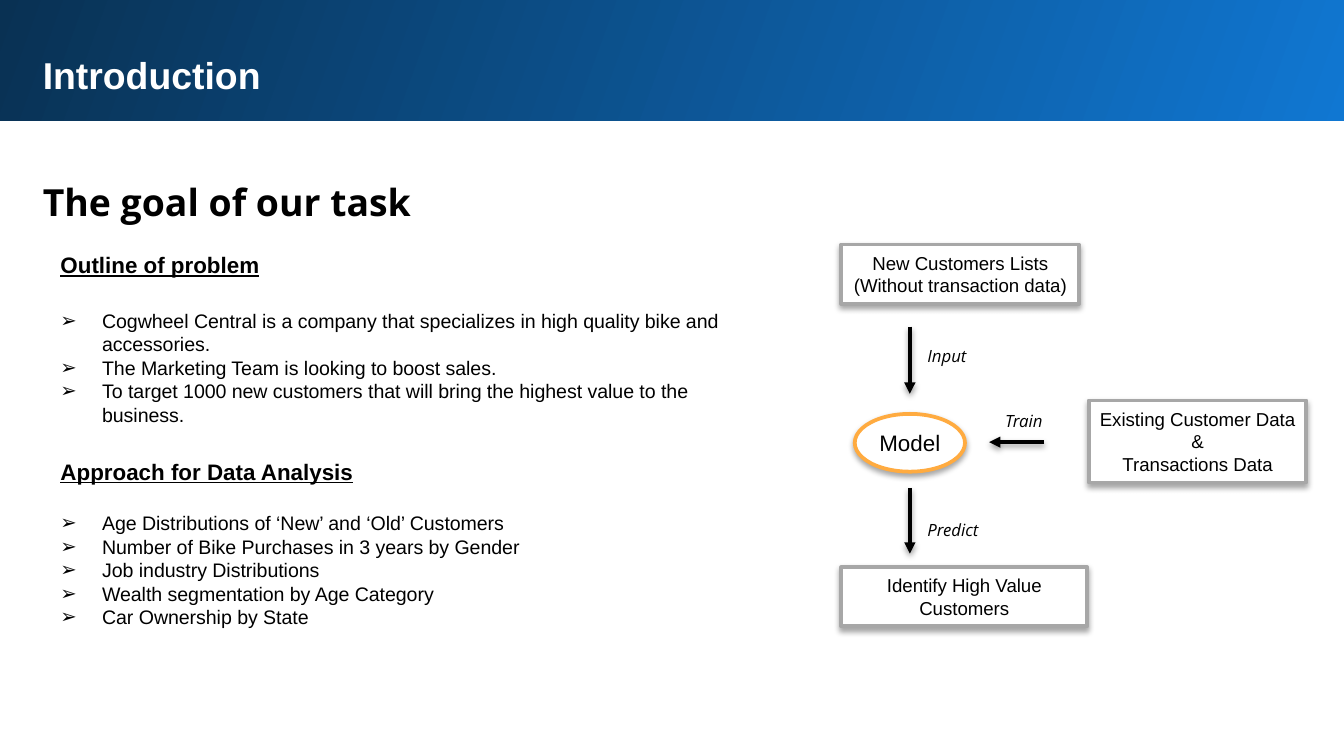
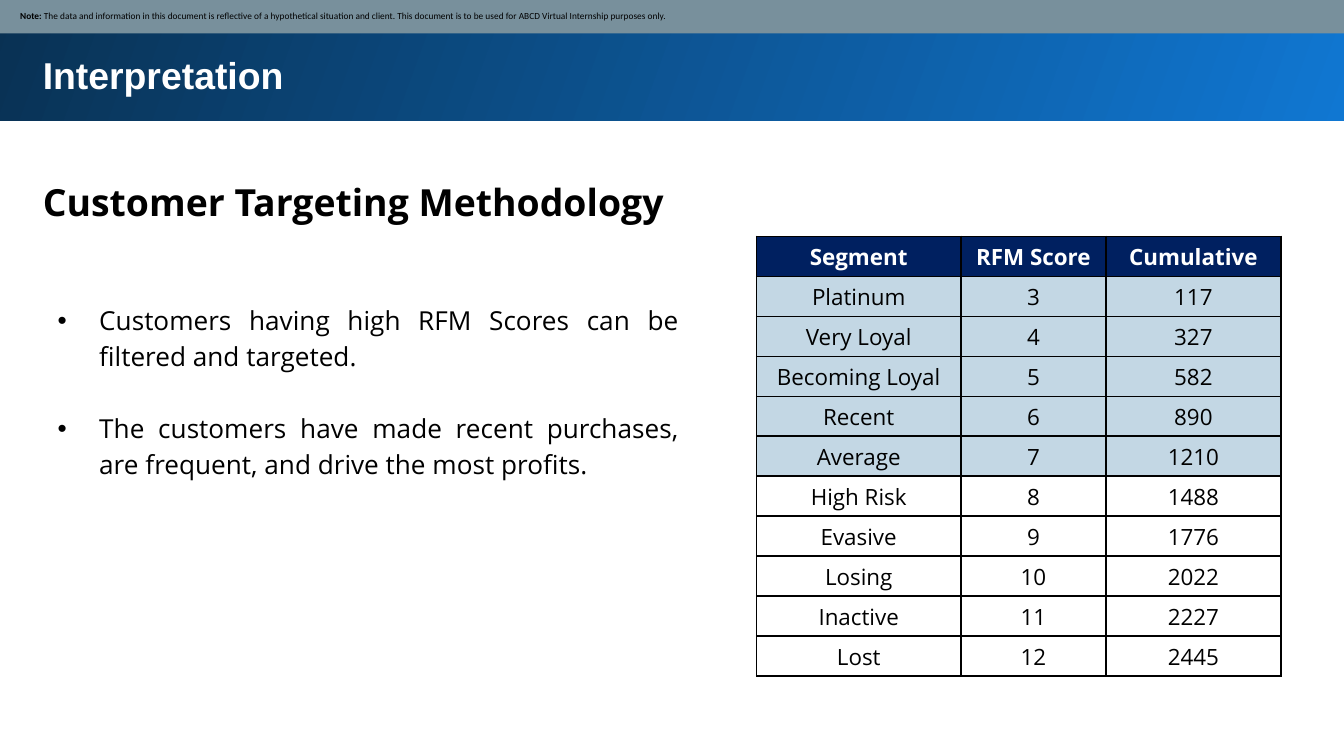
from lxml import etree
from pptx import Presentation
from pptx.dml.color import RGBColor
from pptx.enum.shapes import MSO_CONNECTOR, MSO_SHAPE
from pptx.enum.text import MSO_ANCHOR, MSO_AUTO_SIZE, PP_ALIGN
from pptx.oxml.ns import qn
from pptx.util import Pt

PX = 9144
WIDE = 1000
RECT = MSO_SHAPE.RECTANGLE
OVAL = MSO_SHAPE.OVAL
LINE = MSO_CONNECTOR.STRAIGHT
MID = MSO_ANCHOR.MIDDLE
TOP = MSO_ANCHOR.TOP
GROW = MSO_AUTO_SIZE.SHAPE_TO_FIT_TEXT
FIXED = MSO_AUTO_SIZE.NONE
LEFT = PP_ALIGN.LEFT
CENTER = PP_ALIGN.CENTER
FULL = PP_ALIGN.JUSTIFY

BLACK = RGBColor(0x00, 0x00, 0x00)
WHITE = RGBColor(0xFF, 0xFF, 0xFF)
BLUE = RGBColor(0x10, 0x77, 0xD2)
DEEP = RGBColor(0x09, 0x31, 0x53)
GRAY = RGBColor(0xA7, 0xA7, 0xA7)
AMBER = RGBColor(0xFF, 0xAB, 0x40)
SLATE = RGBColor(0x78, 0x90, 0x9C)
NAVY = RGBColor(0x00, 0x20, 0x60)
PALE = RGBColor(0xC3, 0xD7, 0xE4)

ARIAL = "Arial"
OPEN = "Open Sans"
SMALL = "Calibri"

PROBLEM = [
    "Cogwheel Central is a company that specializes in high quality bike and accessories.",
    "The Marketing Team is looking to boost sales.",
    "To target 1000 new customers that will bring the highest value to the business.",
]
STUDY = [
    "Age Distributions of ‘New’ and ‘Old’ Customers",
    "Number of Bike Purchases in 3 years by Gender",
    "Job industry Distributions",
    "Wealth segmentation by Age Category",
    "Car Ownership by State",
]
ADVICE = [
    "Customers having high RFM Scores can be filtered and targeted.",
    "The customers have made recent purchases, are frequent, and drive the most profits.",
]
SCORES = [
    ("Segment", "RFM Score", "Cumulative"),
    ("Platinum", 3, 117),
    ("Very Loyal", 4, 327),
    ("Becoming Loyal", 5, 582),
    ("Recent", 6, 890),
    ("Average", 7, 1210),
    ("High Risk", 8, 1488),
    ("Evasive", 9, 1776),
    ("Losing", 10, 2022),
    ("Inactive", 11, 2227),
    ("Lost", 12, 2445),
]
TARGET = 5


def px(*sizes):
    return [size * PX for size in sizes]


def node(home, tag, **attrs):
    return etree.SubElement(home, qn(tag), attrs)


class Deck:
    def __init__(self):
        self.file = Presentation()
        self.file.slide_width = WIDE * PX
        self.file.slide_height = WIDE * PX * 9 // 16
        self.slide = None

    def page(self, title, head):
        self.slide = self.file.slides.add_slide(self.file.slide_layouts[6])
        band = self.band(-2, -2, 1005, 92)
        band.fill.gradient()
        band.fill.gradient_angle = 160
        for stop, color in zip(band.fill.gradient_stops, (BLUE, DEEP)):
            stop.color.rgb = color
        self.text(22, 29, 937, 51, title, 20, ink=WHITE, bold=True, pad=10)
        frame = self.text(22, 118, 937, 56, head, 20, OPEN, bold=True, pad=10)
        frame.paragraphs[0].line_spacing = 1.15

    def shape(self, kind, *at):
        return self.slide.shapes.add_shape(kind, *px(*at))

    def band(self, *at):
        item = self.shape(RECT, *at)
        item.line.fill.background()
        item.shadow.inherit = False
        return item

    def style(self, para, size, face=ARIAL, ink=BLACK, bold=False, slant=False, align=LEFT):
        para.alignment = align
        for run in para.runs:
            font = run.font
            font.size = Pt(size)
            font.name = face
            font.color.rgb = ink
            font.bold = bold
            font.italic = slant

    def frame(self, frame, pad, anchor=TOP, fit=GROW):
        frame.word_wrap = True
        frame.auto_size = fit
        frame.vertical_anchor = anchor
        (frame.margin_left, frame.margin_top,
         frame.margin_right, frame.margin_bottom) = px(pad, pad, pad, pad)

    def text(self, x, y, w, h, words, size, face=ARIAL, pad=5, **look):
        frame = self.slide.shapes.add_textbox(*px(x, y, w, h)).text_frame
        self.frame(frame, pad)
        frame.text = words
        for para in frame.paragraphs:
            self.style(para, size, face, **look)
        return frame

    def shade(self, item, alpha, dist):
        glow = node(node(item._element.spPr, "a:effectLst"), "a:outerShdw",
                    blurRad=str(Pt(3)), dist=str(Pt(dist)), dir="5400000",
                    algn="ctr", rotWithShape="0")
        color = node(glow, "a:srgbClr", val=str(BLACK))
        node(color, "a:alpha", val=str(alpha * 1000))

    def box(self, x, y, w, h, words, kind=RECT, edge=GRAY, size=10):
        item = self.shape(kind, x, y, w, h)
        item.fill.solid()
        item.fill.fore_color.rgb = WHITE
        item.line.color.rgb = edge
        item.line.width = Pt(2)
        self.shade(item, 35, 1.8)
        self.frame(item.text_frame, 5, MID)
        item.text_frame.text = words
        for para in item.text_frame.paragraphs:
            self.style(para, size, align=CENTER)

    def arrow(self, *ends):
        item = self.slide.shapes.add_connector(LINE, *px(*ends))
        item.line.color.rgb = BLACK
        item.line.width = Pt(2)
        node(item._element.spPr.find(qn("a:ln")), "a:tailEnd", type="triangle")
        self.shade(item, 38, 1.6)

    def bullet(self, para, mark):
        props = para._p.get_or_add_pPr()
        props.set("marL", str(31 * PX))
        props.set("indent", str(-31 * PX))
        node(props, "a:buFont", typeface=ARIAL)
        node(props, "a:buChar", char=mark)

    def note(self, label, words):
        band = self.band(-1, -1, 1003, 26)
        band.fill.solid()
        band.fill.fore_color.rgb = SLATE
        frame = band.text_frame
        self.frame(frame, 5, MID, FIXED)
        frame.margin_left = 16 * PX
        para = frame.paragraphs[0]
        para.text = label
        para.add_run().text = words
        self.style(para, 5, SMALL)
        para.runs[0].font.bold = True

    def table(self, x, y, h, cols, rows, lit):
        grid = self.slide.shapes.add_table(
            len(rows), len(cols), *px(x, y, sum(cols), h)).table
        grid.first_row = grid.horz_banding = False
        for col, width in zip(grid.columns, cols):
            col.width = width * PX
        for r, row in enumerate(rows):
            for c, value in enumerate(row):
                cell = grid.cell(r, c)
                self.edges(cell)
                if r > lit:
                    cell.fill.background()
                else:
                    cell.fill.solid()
                    cell.fill.fore_color.rgb = PALE if r else NAVY
                cell.vertical_anchor = MID
                cell.margin_left = cell.margin_right = cell.margin_top = PX
                cell.margin_bottom = 0
                cell.text_frame.text = str(value)
                self.style(cell.text_frame.paragraphs[0], 12, OPEN,
                           BLACK if r else WHITE, bold=not r, align=CENTER)

    def edges(self, cell):
        props = cell._tc.get_or_add_tcPr()
        for side in "LRTB":
            line = node(props, "a:ln" + side, w=str(Pt(1)))
            node(node(line, "a:solidFill"), "a:srgbClr", val=str(BLACK))


def intro(deck):
    deck.page("Introduction", "The goal of our task")
    deck.box(626, 182, 177, 44, "New Customers Lists\n(Without transaction data)")
    deck.box(626, 422, 183, 44, "Identify High Value Customers")
    deck.box(810, 298, 162, 61, "Existing Customer Data\n&\nTransactions Data")
    deck.box(636, 308, 82, 43, "Model", OVAL, AMBER, 12)
    for ends in ((677, 243, 677, 293), (677, 363, 677, 412), (777, 329, 736, 329)):
        deck.arrow(*ends)
    for x, y, word in ((685, 252, "Input"), (743, 301, "Train"), (685, 382, "Predict")):
        deck.text(x, y, 57, 25, word, 9, OPEN, slant=True)

    heads = ["Outline of problem", "Approach for Data Analysis"]
    lines = [heads[0], *PROBLEM, heads[1], *STUDY]
    frame = deck.text(40, 182, 512, 295, "\n".join(lines), 10.5)
    gaps = {PROBLEM[0]: 16.5, heads[1]: 17, STUDY[0]: 14}
    for para in frame.paragraphs:
        para.space_before = Pt(gaps.get(para.text, 0))
        if para.text in heads:
            deck.style(para, 12, bold=True)
            para.runs[0].font.underline = True
        else:
            deck.bullet(para, "➢")


def result(deck):
    deck.page("Interpretation", "Customer Targeting Methodology")
    deck.note("Note:", " The data and information in this document is reflective of a "
              "hypothetical situation and client. This document is to be used for "
              "ABCD Virtual Internship purposes only.")
    deck.table(563, 176, 327, (152, 108, 130), SCORES, TARGET)
    frame = deck.text(33, 213, 482, 154, "\n".join(ADVICE), 14, OPEN, pad=10, align=FULL)
    for para in frame.paragraphs:
        para.line_spacing = 1.15
        deck.bullet(para, "•")
    frame.paragraphs[1].space_before = Pt(19.3)


def main():
    deck = Deck()
    intro(deck)
    result(deck)
    deck.file.save("out.pptx")


if __name__ == "__main__":
    main()
